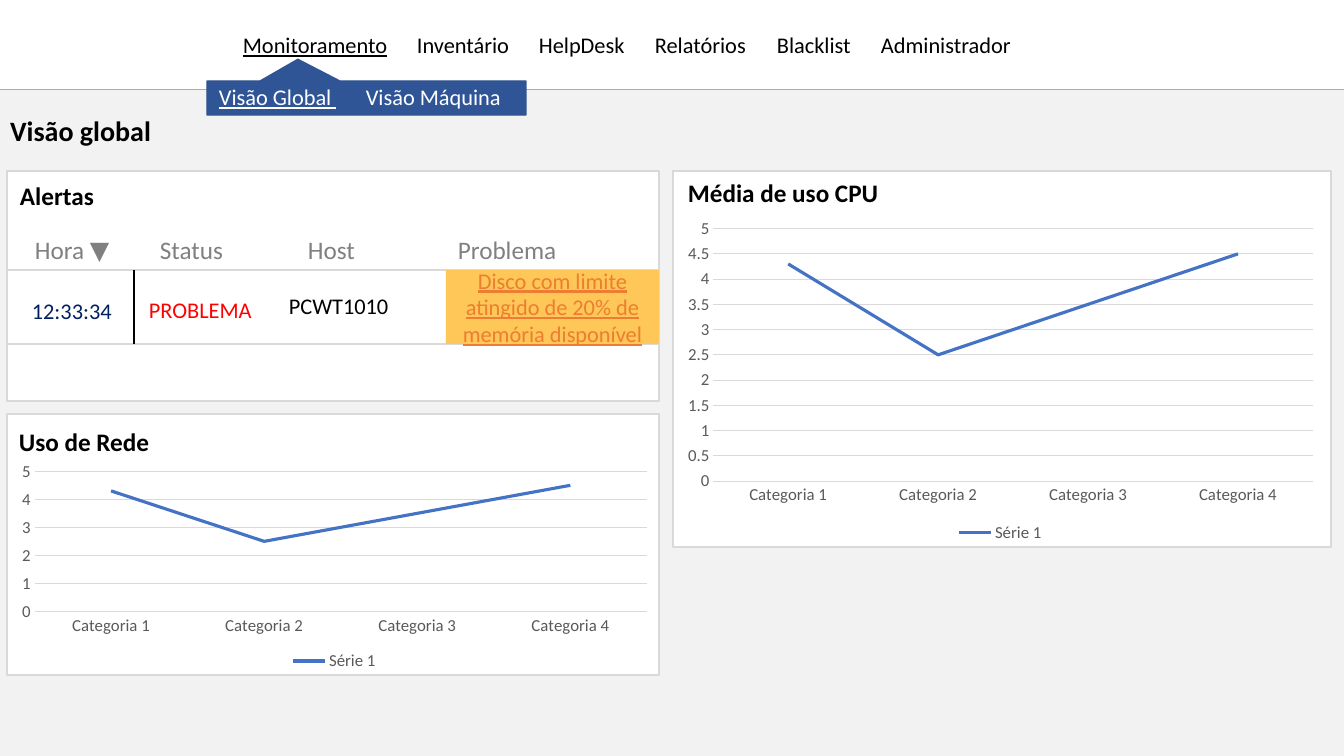
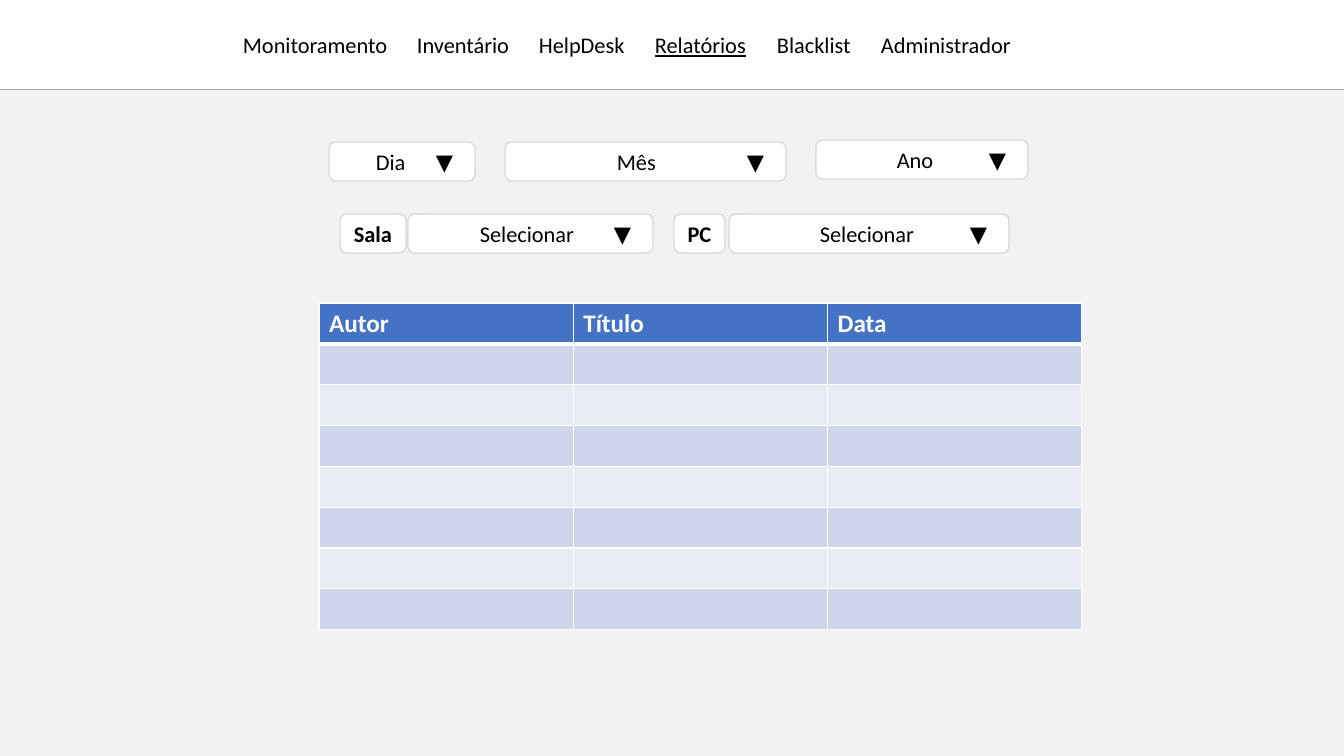
from lxml import etree
from pptx import Presentation
from pptx.chart.data import CategoryChartData
from pptx.dml.color import RGBColor
from pptx.enum.chart import XL_CHART_TYPE, XL_LEGEND_POSITION, XL_TICK_MARK
from pptx.enum.shapes import MSO_CONNECTOR, MSO_SHAPE
from pptx.enum.text import MSO_ANCHOR, MSO_AUTO_SIZE, PP_ALIGN
from pptx.oxml.ns import qn
from pptx.util import Pt

RECT = MSO_SHAPE.RECTANGLE
ROUND = MSO_SHAPE.ROUNDED_RECTANGLE
CALLOUT = MSO_SHAPE.RECTANGULAR_CALLOUT
STRAIGHT = MSO_CONNECTOR.STRAIGHT
LEFT, CENTER = PP_ALIGN.LEFT, PP_ALIGN.CENTER
TOP, MIDDLE = MSO_ANCHOR.TOP, MSO_ANCHOR.MIDDLE
FIT, NO_FIT = MSO_AUTO_SIZE.SHAPE_TO_FIT_TEXT, MSO_AUTO_SIZE.NONE
LINE_CHART = XL_CHART_TYPE.LINE
LEGEND_BOTTOM = XL_LEGEND_POSITION.BOTTOM
NO_TICK = XL_TICK_MARK.NONE

FONT = "Calibri"
WHITE, BLACK = "FFFFFF", "000000"
PAGE, BORDER, RULE = "F2F2F2", "D9D9D9", "AFABAB"
BLUE, GRAY = "4472C4", "595959"
BANDS = ("CFD5EA", "E9EBF5")

WIDTH, HEIGHT, HEADER = 1344, 756, 89
MENU = ["Monitoramento", "Inventário", "HelpDesk", "Relatórios", "Blacklist", "Administrador"]
MENU_TABS = [174, 296, 412, 534, 638]


def px(n):
    return round(n * 914400 / 100.8)


def box(*lengths):
    return [px(n) for n in lengths]


def rgb(color):
    return RGBColor.from_string(color)


def set_font(font, size, color, bold=False):
    font.name = FONT
    font.size = Pt(size)
    font.bold = bold
    font.color.rgb = rgb(color)


def set_tabs(p, stops):
    tabs = etree.SubElement(p._p.get_or_add_pPr(), qn("a:tabLst"))
    for stop in stops:
        etree.SubElement(tabs, qn("a:tab"), pos=str(px(stop)), algn="l")


def write(tf, parts, size=16, color=BLACK, bold=False, align=LEFT, tabs=(), active=None):
    p = tf.paragraphs[0]
    p.alignment = align
    set_font(p.font, size, color, bold)
    if tabs:
        set_tabs(p, tabs)
    for i, part in enumerate(parts):
        if i:
            p.add_run().text = "\t"
        r = p.add_run()
        r.text = part
        if part == active:
            r.font.underline = True


def add_text(s, x, y, w, h, *parts, **style):
    tf = s.shapes.add_textbox(*box(x, y, w, h)).text_frame
    tf.word_wrap = True
    tf.auto_size = FIT
    write(tf, parts, **style)


def add_box(s, kind, x, y, w, h, fill=WHITE, line=BORDER):
    sp = s.shapes.add_shape(kind, *box(x, y, w, h))
    sp.shadow.inherit = False
    sp.fill.solid()
    sp.fill.fore_color.rgb = rgb(fill)
    if line:
        sp.line.color.rgb = rgb(line)
        sp.line.width = Pt(1)
    else:
        sp.line.fill.background()
    sp.text_frame.word_wrap = True
    sp.text_frame.vertical_anchor = MIDDLE
    return sp


def add_line(s, x1, y1, x2, y2, color, width):
    line = s.shapes.add_connector(STRAIGHT, *box(x1, y1, x2, y2))
    line.line.color.rgb = rgb(color)
    line.line.width = Pt(width)
    etree.SubElement(line.element.spPr, qn("a:effectLst"))
    return line


def add_header(s, active):
    add_box(s, RECT, 0, HEADER, WIDTH, HEIGHT - HEADER, PAGE, None)
    add_text(s, 233, 26, 859, 37, *MENU, tabs=MENU_TABS, active=active)
    return add_line(s, 0, HEADER, WIDTH, HEADER, RULE, 0.5)


def set_title(s, text, below):
    title = s.shapes.title
    below.element.addnext(title.element)
    title.left, title.top, title.width, title.height = box(0, 108, 206, 44)
    tf = title.text_frame
    tf.word_wrap = True
    tf.auto_size = NO_FIT
    tf.vertical_anchor = TOP
    write(tf, [text], size=20, bold=True)


def add_chart(s, x, y, w, h, step):
    data = CategoryChartData()
    data.categories = [f"Categoria {n}" for n in range(1, 5)]
    data.add_series("Série 1", (4.3, 2.5, 3.5, 4.5))
    chart = s.shapes.add_chart(LINE_CHART, *box(x, y, w, h), data).chart
    set_font(chart.font, 12, GRAY)
    chart.has_title = False
    chart.has_legend = True
    chart.legend.position = LEGEND_BOTTOM
    chart.legend.include_in_layout = False
    set_font(chart.legend.font, 12, GRAY)
    for axis in (chart.category_axis, chart.value_axis):
        axis.major_tick_mark = axis.minor_tick_mark = NO_TICK
        set_font(axis.tick_labels.font, 12, GRAY)
    values = chart.value_axis
    values.minimum_scale, values.maximum_scale, values.major_unit = 0, 5, step
    values.format.line.fill.background()
    values.has_major_gridlines = True
    for line in (chart.category_axis.format.line, values.major_gridlines.format.line):
        line.color.rgb = rgb(BORDER)
        line.width = Pt(0.75)
    plot = chart.plots[0]
    plot.vary_by_categories = False
    series = plot.series[0]
    series.smooth = False
    series.format.line.color.rgb = rgb(BLUE)
    series.format.line.width = Pt(2.25)


def add_dropdown(s, x, y, w, label, label_x):
    tf = add_box(s, ROUND, x, y, w, 39).text_frame
    tf.margin_left = px(label_x - 2)
    tf.margin_right = 0
    write(tf, [label, "▼"], tabs=[w - 39 - label_x])


def add_tag(s, x, y, w, label):
    tf = add_box(s, ROUND, x, y, w, 39).text_frame
    tf.margin_left = tf.margin_right = 0
    write(tf, [label], bold=True, align=CENTER)


def set_borders(cell, top, bottom):
    tcPr = cell._tc.get_or_add_tcPr()
    for i, (side, width) in enumerate((("L", 1), ("R", 1), ("T", top), ("B", bottom))):
        ln = etree.Element(qn(f"a:ln{side}"), w=str(Pt(width)))
        fill = etree.SubElement(ln, qn("a:solidFill"))
        etree.SubElement(fill, qn("a:srgbClr"), val=WHITE)
        tcPr.insert(i, ln)


def add_report_table(s, x, y, w, h, heads, rows):
    table = s.shapes.add_table(rows, len(heads), *box(x, y, w, h)).table
    for i in range(rows):
        for j, head in enumerate(heads):
            cell = table.cell(i, j)
            cell.fill.solid()
            cell.fill.fore_color.rgb = rgb(BANDS[(i - 1) % 2] if i else BLUE)
            set_borders(cell, 3 if i == 1 else 1, 1 if i else 3)
            if i == 0:
                write(cell.text_frame, [head], size=18, color=WHITE, bold=True)


def add_alerts(s):
    add_box(s, RECT, 7, 171, 652, 230)
    add_text(s, 10, 175, 139, 40, "Alertas", size=18, bold=True)
    add_text(s, 25, 229, 611, 40, "Hora ▼", "Status", "Host", "Problema",
             size=18, color="808080", tabs=[125, 273, 423])
    add_box(s, RECT, 7, 270, 652, 74)
    add_line(s, 134, 270, 134, 344, BLACK, 1.5)
    add_text(s, 22, 292, 107, 37, "12:33:34", color="002060")
    add_text(s, 139, 291, 124, 37, "PROBLEMA", color="FF0000")
    add_text(s, 279, 287, 124, 37, "PCWT1010")
    problem = "Disco com limite atingido de 20% de memória disponível"
    cell = add_box(s, RECT, 446, 270, 213, 74, "FEC758", None)
    write(cell.text_frame, [problem], color="ED7D31", align=CENTER, active=problem)


def add_submenu(s):
    callout = add_box(s, CALLOUT, 207, 81, 319, 34, "2F5597", "325491")
    callout.adjustments[0], callout.adjustments[1] = -0.215, -1.139
    add_text(s, 209, 78, 319, 37, "Visão Global ", "Visão Máquina",
             color=WHITE, tabs=[147], active="Visão Global ")


def build_overview(prs):
    s = prs.slides.add_slide(prs.slide_layouts[5])
    set_title(s, "Visão global", add_header(s, "Monitoramento"))
    add_alerts(s)
    add_box(s, RECT, 673, 171, 658, 376)
    add_text(s, 678, 172, 217, 40, "Média de uso CPU", size=18, bold=True)
    add_chart(s, 675, 212, 651, 335, 0.5)
    add_box(s, RECT, 7, 414, 652, 261)
    add_chart(s, 9, 457, 651, 218, 1)
    add_text(s, 9, 421, 217, 40, "Uso de Rede", size=18, bold=True)
    add_submenu(s)


def build_reports(prs):
    s = prs.slides.add_slide(prs.slide_layouts[6])
    add_header(s, "Relatórios")
    for x, y, w, label, label_x in (
        (329, 142, 146, "Dia", 47),
        (505, 142, 281, "Mês", 112),
        (816, 140, 212, "Ano", 81),
        (408, 214, 245, "Selecionar", 72),
        (729, 214, 280, "Selecionar", 91),
    ):
        add_dropdown(s, x, y, w, label, label_x)
    add_tag(s, 340, 214, 66, "Sala")
    add_tag(s, 674, 214, 51, "PC")
    add_report_table(s, 319, 303, 763, 327, ["Autor", "Título", "Data"], 8)


def main():
    prs = Presentation()
    prs.slide_width, prs.slide_height = box(WIDTH, HEIGHT)
    build_overview(prs)
    build_reports(prs)
    prs.save("out.pptx")


main()
